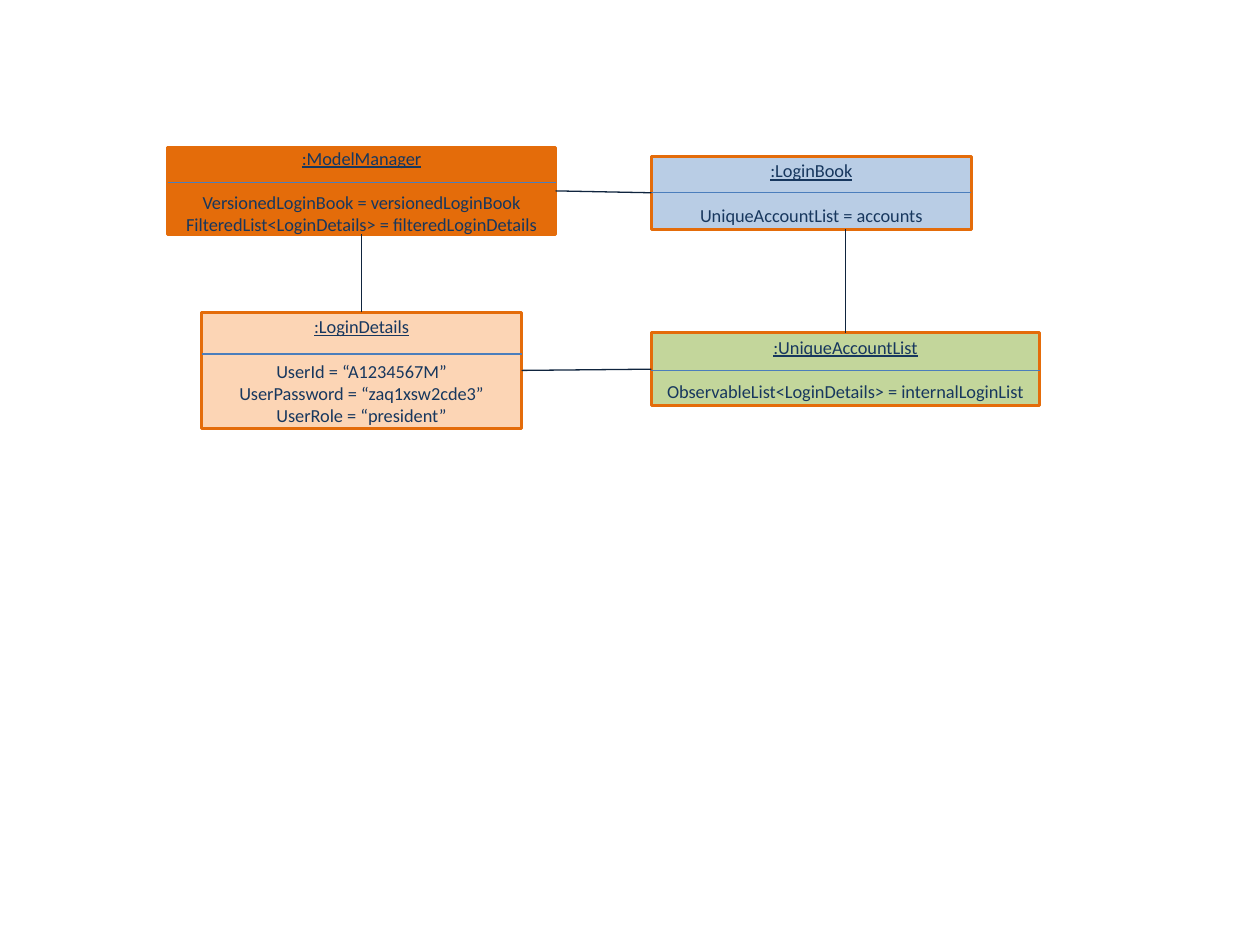
from dataclasses import dataclass
from typing import Optional

from lxml import etree
from pptx import Presentation
from pptx.dml.color import RGBColor
from pptx.enum.shapes import MSO_CONNECTOR, MSO_SHAPE
from pptx.enum.text import MSO_ANCHOR, PP_ALIGN
from pptx.oxml.ns import qn
from pptx.shapes.autoshape import Shape
from pptx.shapes.connector import Connector
from pptx.slide import Slide
from pptx.util import Inches, Pt

RECTANGLE = MSO_SHAPE.RECTANGLE
STRAIGHT = MSO_CONNECTOR.STRAIGHT
CENTER = PP_ALIGN.CENTER
MIDDLE = MSO_ANCHOR.MIDDLE
TOP, LEFT, BOTTOM, RIGHT = range(4)

BORDER = "E46C0A"
TEXT = "17375E"
DIVIDER = "4B7EBC"
LINK = "0F243E"
FONT_SIZE = 10.5
HEADING_GAP = 12.8  # one line of text, in points


@dataclass
class ObjectBox:
    heading: str
    fields: list[str]
    left: float
    top: float
    width: float
    height: float
    divider: float
    fill: str


@dataclass
class Link:
    start: str
    start_side: int
    end: str
    end_side: Optional[int]  # None: a vertical line to the bottom edge


BOXES = [
    ObjectBox(":ModelManager",
              ["VersionedLoginBook = versionedLoginBook",
               "FilteredList<LoginDetails> = filteredLoginDetails"],
              1.33, 1.17, 3.08, 0.69, 1.45, "E46C0A"),
    ObjectBox(":LoginBook", ["UniqueAccountList = accounts"],
              5.17, 1.24, 2.54, 0.58, 1.53, "B9CDE5"),
    ObjectBox(":UniqueAccountList",
              ["ObservableList<LoginDetails> = internalLoginList"],
              5.17, 2.64, 3.08, 0.58, 2.94, "C3D69B"),
    ObjectBox(":LoginDetails",
              ["UserId = “A1234567M”", "UserPassword = “zaq1xsw2cde3”",
               "UserRole = “president”"],
              1.6, 2.48, 2.54, 0.92, 2.81, "FCD5B5"),
]

LINKS = [
    Link(":ModelManager", RIGHT, ":LoginBook", LEFT),
    Link(":UniqueAccountList", LEFT, ":LoginDetails", RIGHT),
    Link(":UniqueAccountList", TOP, ":LoginBook", None),
    Link(":ModelManager", BOTTOM, ":LoginDetails", TOP),
]


def color(value: str) -> RGBColor:
    return RGBColor.from_string(value)


def add_line(slide: Slide, left: int, top: int, right: int, bottom: int,
             line_color: str) -> Connector:
    line = slide.shapes.add_connector(STRAIGHT, left, top, right, bottom)
    line.line.color.rgb = color(line_color)
    line.line.width = Pt(0.75)
    etree.SubElement(line._element.spPr, qn("a:effectLst"))
    return line


def add_box(slide: Slide, box: ObjectBox) -> Shape:
    shape = slide.shapes.add_shape(
        RECTANGLE, Inches(box.left), Inches(box.top),
        Inches(box.width), Inches(box.height))
    shape.shadow.inherit = False
    shape.fill.solid()
    shape.fill.fore_color.rgb = color(box.fill)
    shape.line.color.rgb = color(BORDER)
    shape.line.width = Pt(1.5)

    # Underlined heading, then the fields
    text_frame = shape.text_frame
    text_frame.word_wrap = True
    text_frame.vertical_anchor = MIDDLE
    for index, text in enumerate([box.heading, *box.fields]):
        is_heading = index == 0
        paragraph = text_frame.paragraphs[0] if is_heading else text_frame.add_paragraph()
        paragraph.alignment = CENTER
        if is_heading:
            paragraph.space_after = Pt(HEADING_GAP)
        run = paragraph.add_run()
        run.text = text
        run.font.name = "Calibri"
        run.font.size = Pt(FONT_SIZE)
        run.font.underline = is_heading
        run.font.color.rgb = color(TEXT)

    # Divider under the heading
    divider = Inches(box.divider)
    add_line(slide, shape.left, divider, shape.left + shape.width, divider, DIVIDER)
    return shape


def add_link(slide: Slide, link: Link, shapes: dict[str, Shape]) -> None:
    start, end = shapes[link.start], shapes[link.end]
    center = start.left + start.width // 2
    line = add_line(slide, center, start.top, center, end.top + end.height, LINK)
    line.begin_connect(start, link.start_side)
    if link.end_side is not None:
        line.end_connect(end, link.end_side)


def main() -> None:
    presentation = Presentation()
    presentation.slide_width = Inches(10)
    presentation.slide_height = Inches(7.5)
    slide = presentation.slides.add_slide(presentation.slide_layouts[6])

    # Object boxes first, then the links between them
    shapes = {box.heading: add_box(slide, box) for box in BOXES}
    for link in LINKS:
        add_link(slide, link, shapes)

    presentation.save("out.pptx")


if __name__ == "__main__":
    main()
